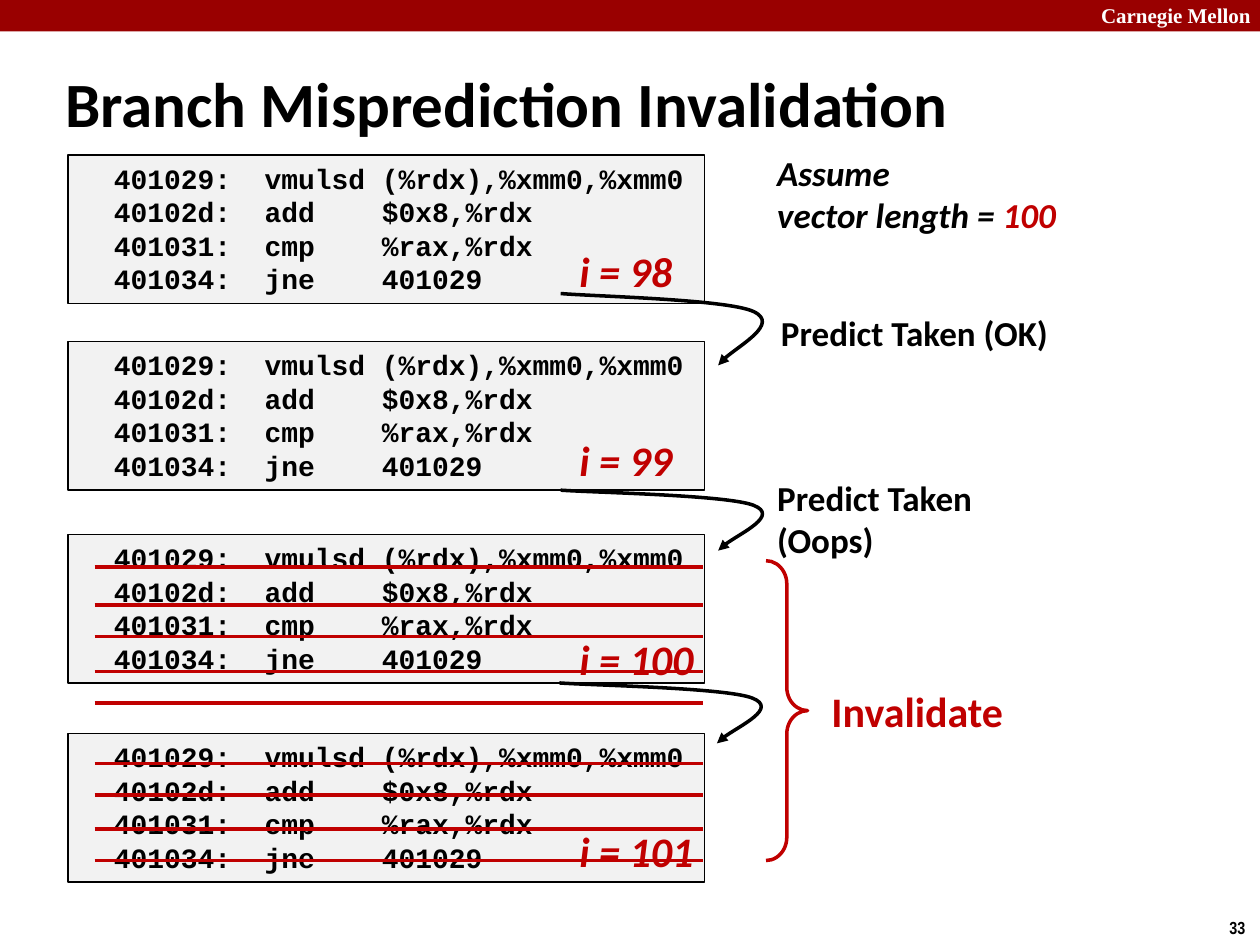
import pptx
import pptx.util
import pptx.dml.color
import pptx.enum.shapes
import pptx.enum.text
import pptx.oxml
import pptx.oxml.ns

Inches, Pt = pptx.util.Inches, pptx.util.Pt
RGBColor = pptx.dml.color.RGBColor
MSO_SHAPE = pptx.enum.shapes.MSO_SHAPE
qn = pptx.oxml.ns.qn

BLACK = RGBColor(0x00, 0x00, 0x00)
WHITE = RGBColor(0xFF, 0xFF, 0xFF)
BANNER_RED = RGBColor(0x99, 0x00, 0x00)
RED = RGBColor(0xC0, 0x00, 0x00)
CODE_GREY = RGBColor(0xF2, 0xF2, 0xF2)

# Content
CODE = """  401029:  vmulsd (%rdx),%xmm0,%xmm0
  40102d:  add    $0x8,%rdx
  401031:  cmp    %rax,%rdx
  401034:  jne    401029"""
# Each iteration: top of code block, label, top of label
ITERATIONS = [
    (1.23, "i = 98", 1.9),
    (2.71, "i = 99", 3.4),
    (4.24, "i = 100", 4.98),
    (5.82, "i = 101", 6.5),
]
# Jump arrows: left, top, height
JUMPS = [(4.45, 2.33, 0.57), (4.45, 3.89, 0.48), (4.44, 5.42, 0.48)]
# Points of a jump: offset across in inches, share of the height
JUMP_CURVE = [(0, 0), (0.26, 0.04), (1.32, 0.08), (1.53, 0.25),
              (1.74, 0.42), (1.31, 0.83), (1.25, 1)]
STRIKE_TOPS = [4.5, 4.8, 5.05, 5.33, 5.58, 6.06, 6.31, 6.58, 6.83]
# Notes: text, left, top, width, height, size, colour
NOTES = [
    ("Predict Taken (OK)", 6.1, 2.42, 2.34, 0.44, 20, BLACK),
    ("Predict Taken\n(Oops)", 6.07, 3.73, 1.76, 0.77, 20, BLACK),
    ("Invalidate", 6.5, 5.39, 1.58, 0.5, 24, RED),
]

deck = pptx.Presentation()
deck.slide_width, deck.slide_height = Inches(10), Inches(7.5)
slide = deck.slides.add_slide(deck.slide_layouts[6])
shapes = slide.shapes


def style_text(frame, text, size, color, font="Calibri", italic=False):
    frame.text = text
    for paragraph in frame.paragraphs:
        paragraph.alignment = pptx.enum.text.PP_ALIGN.LEFT
        for run in paragraph.runs:
            run.font.name, run.font.size = font, Pt(size)
            run.font.bold, run.font.italic = True, italic
            run.font.color.rgb = color


def add_label(text, left, top, width, height, size, color,
              font="Calibri", italic=False, wrap=False):
    box = shapes.add_textbox(*map(Inches, (left, top, width, height)))
    box.text_frame.word_wrap = wrap
    style_text(box.text_frame, text, size, color, font, italic)
    return box.text_frame


def add_block(left, top, width, height, fill, kind=MSO_SHAPE.RECTANGLE):
    block = shapes.add_shape(kind, *map(Inches, (left, top, width, height)))
    block.shadow.inherit = False
    if fill is None:
        block.fill.background()
    else:
        block.fill.solid()
        block.fill.fore_color.rgb = fill
    return block


def set_line(part, color, width):
    part.line.color.rgb = color
    part.line.width = Pt(width)


def add_jump(left, top, height):
    points = [(Inches(left + x), Inches(top + share * height))
              for x, share in JUMP_CURVE]
    builder = shapes.build_freeform(*points[0])
    builder.add_line_segments(points[1:], close=False)
    jump = builder.convert_to_shape()
    jump.shadow.inherit = False
    jump.fill.background()
    set_line(jump, BLACK, 2)
    # Turn every three segments into one Bezier curve
    segments = list(jump._element.iter(qn("a:lnTo")))
    outline = segments[0].getparent()
    for start in range(0, len(segments), 3):
        curve = pptx.oxml.parse_xml(
            "<a:cubicBezTo %s/>" % pptx.oxml.ns.nsdecls("a"))
        for segment in segments[start:start + 3]:
            curve.append(segment[0])
            outline.remove(segment)
        outline.append(curve)
    jump.line._get_or_add_ln().append(pptx.oxml.parse_xml(
        '<a:tailEnd %s type="triangle"/>' % pptx.oxml.ns.nsdecls("a")))


# Banner, page number and title
add_block(0, 0, 10, 0.25, BANNER_RED).line.fill.background()
add_label("Carnegie Mellon", 8.64, -0.03, 1.43, 0.3, 12, WHITE,
          "Times New Roman", wrap=True)
add_label("33", 9.66, 7.23, 0.34, 0.27, 10, BLACK, "Arial Narrow")
title = add_label("Branch Misprediction Invalidation", 0.42, 0.5, 8.69, 0.63,
                  36, BLACK, wrap=True)
title.vertical_anchor = pptx.enum.text.MSO_ANCHOR.MIDDLE

# Code blocks
for block_top, _, _ in ITERATIONS:
    code_block = add_block(0.54, block_top, 5.05, 1.18, CODE_GREY)
    set_line(code_block, BLACK, 0.75)
    code_block.text_frame.word_wrap = False
    code_block.text_frame.vertical_anchor = pptx.enum.text.MSO_ANCHOR.TOP
    style_text(code_block.text_frame, CODE, 16, BLACK, "Courier New")

# Jumps and iteration labels
for jump_place in JUMPS:
    add_jump(*jump_place)
for _, label, label_top in ITERATIONS:
    label_width = 0.94 if len(label) == 6 else 1.11
    add_label(label, 4.5, label_top, label_width, 0.5, 24, RED, italic=True)

# Notes
for note in NOTES:
    add_label(*note)
assumption = add_label("Assume\nvector length = ", 6.07, 1.15, 2.43, 0.77,
                       20, BLACK, italic=True)
length = assumption.paragraphs[1].add_run()
length.text = "100"
length.font.name, length.font.size = "Calibri", Pt(20)
length.font.bold = length.font.italic = True
length.font.color.rgb = RED

# Strike lines over the invalidated instructions
for strike_top in STRIKE_TOPS:
    strike = shapes.add_connector(
        pptx.enum.shapes.MSO_CONNECTOR.STRAIGHT,
        Inches(0.75), Inches(strike_top), Inches(5.58), Inches(strike_top))
    set_line(strike, RED, 2)
    strike._element.spPr.append(pptx.oxml.parse_xml(
        "<a:effectLst %s/>" % pptx.oxml.ns.nsdecls("a")))

# Brace around the invalidated instructions
brace = add_block(6.08, 4.45, 0.33, 2.38, None, MSO_SHAPE.RIGHT_BRACE)
brace.adjustments[0] = 0.56
set_line(brace, RED, 2)

deck.save("out.pptx")
